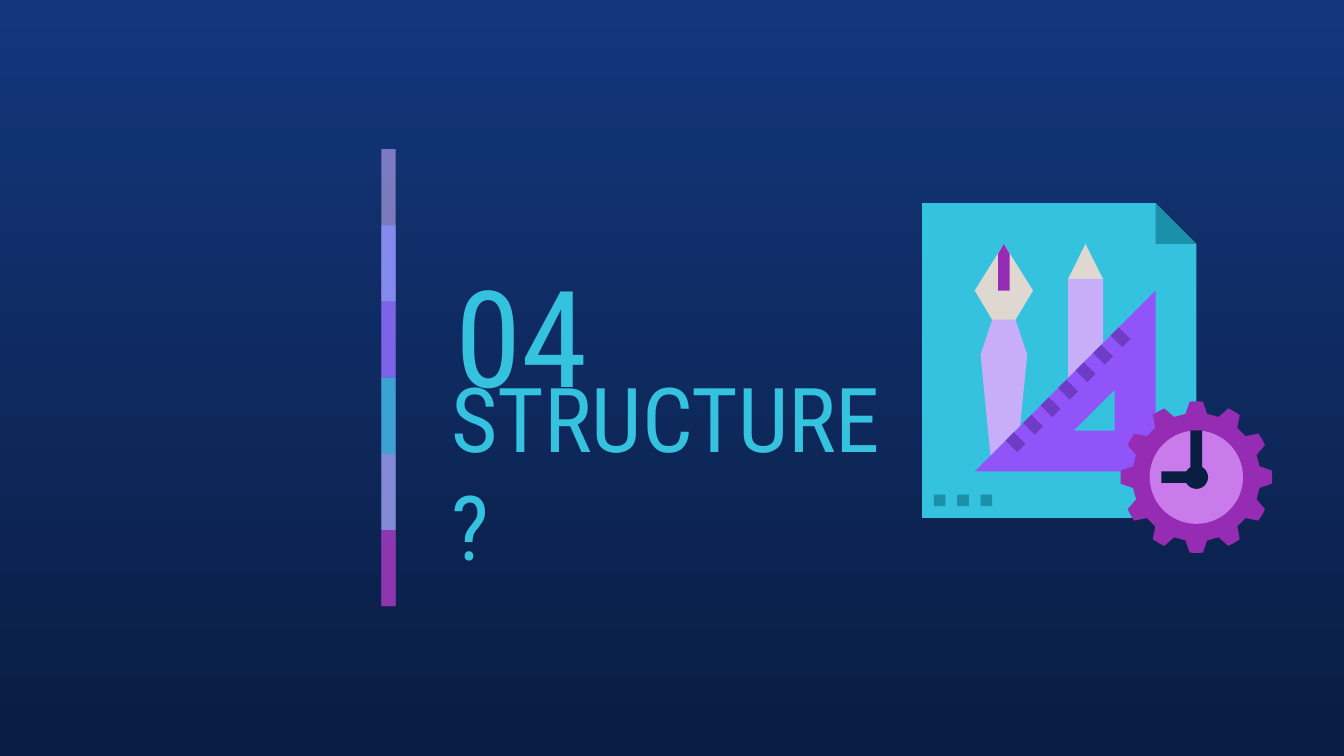
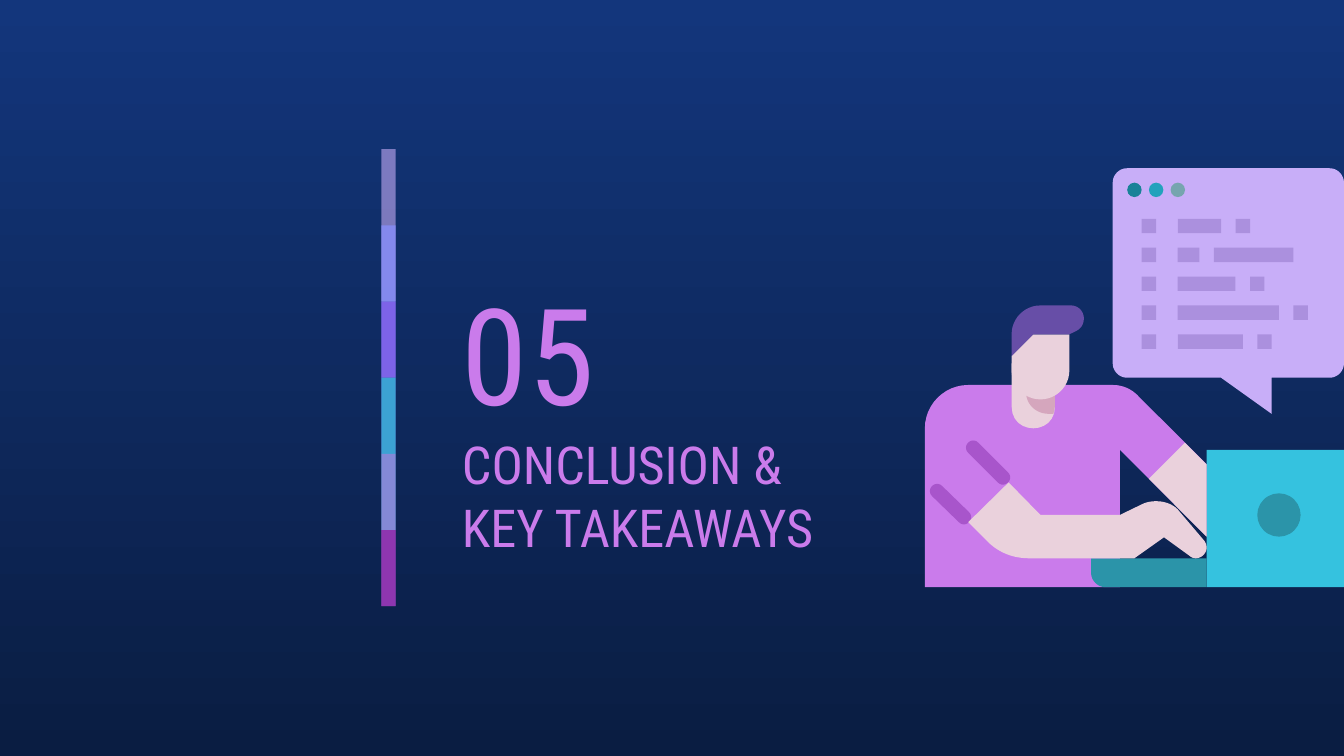
"""Build two section-opener slides with a shared colour bar and grid-drawn illustrations."""
import math

from lxml import etree
from pptx import Presentation
from pptx import util as u
from pptx.dml.color import RGBColor
from pptx.enum import shapes, text
from pptx.oxml.ns import qn

FONT = "Roboto Condensed"
NAVY_TOP = RGBColor(0x13, 0x36, 0x7C)
NAVY = RGBColor(0x0A, 0x1D, 0x42)
LILAC = RGBColor(0xC8, 0xAE, 0xF8)
PERIWINKLE = RGBColor(0x87, 0x8F, 0xFF)
VIOLET = RGBColor(0x91, 0x54, 0xF8)
CYAN = RGBColor(0x35, 0xC2, 0xDF)
ORCHID = RGBColor(0xCA, 0x7B, 0xEB)
PURPLE = RGBColor(0x97, 0x2C, 0xB4)
DEEP_VIOLET = RGBColor(0x6F, 0x3C, 0xC6)
FOLD_TEAL = RGBColor(0x1B, 0x91, 0xA9)
BONE = RGBColor(0xDE, 0xD8, 0xD0)
LAPTOP_TEAL = RGBColor(0x2B, 0x94, 0xA9)
SLEEVE = RGBColor(0xA8, 0x55, 0xCB)
SKIN = RGBColor(0xEA, 0xD1, 0xDC)
SKIN_SHADE = RGBColor(0xD5, 0xA6, 0xBD)
HAIR = RGBColor(0x67, 0x4E, 0xA7)
CODE = RGBColor(0xAB, 0x90, 0xDE)
WINDOW_DOTS = [RGBColor(0x19, 0x82, 0x98), RGBColor(0x22, 0xA2, 0xBC), RGBColor(0x76, 0xA5, 0xAF)]

OUTLINE = None
RECT = shapes.MSO_SHAPE.RECTANGLE
OVAL = shapes.MSO_SHAPE.OVAL


def paint(shape, color):
    """Give a shape a flat fill without line or shadow."""
    shape.fill.solid()
    shape.fill.fore_color.rgb = color
    shape.line.fill.background()
    shape.shadow.inherit = False


def trace(contour):
    """Turn points and cubic segments into a list of points."""
    points = []
    for step in contour:
        if len(step) == 2:
            points.append(step)
            continue
        x0, y0 = points[-1]
        x1, y1, x2, y2, x3, y3 = step
        for i in range(1, 13):
            t = i / 12
            a, b, c, d = (1 - t) ** 3, 3 * t * (1 - t) ** 2, 3 * t * t * (1 - t), t ** 3
            points.append((a * x0 + b * x1 + c * x2 + d * x3, a * y0 + b * y1 + c * y2 + d * y3))
    return points


gear = []
for tooth in range(12):
    for offset, radius in [(-9.7, 11), (-5, 13), (0, 13), (5, 13), (9.7, 11)]:
        angle = math.radians(30 * tooth + offset)
        gear.append((47 + radius * math.sin(angle), 47 - radius * math.cos(angle)))

blueprint = [
    (CYAN, OUTLINE, [[(0, 0), (0, 54), (47, 54), (47, 7), (40, 0)]]),
    (FOLD_TEAL, OUTLINE, [[(40, 0), (40, 7), (47, 7)]]),
    (BONE, OUTLINE, [[(28, 7), (25, 13), (31, 13)]]),
    (LILAC, OUTLINE, [[(25, 13), (25, 30), (31, 24), (31, 13)]]),
    (VIOLET, OUTLINE, [[(40, 15), (9, 46), (40, 46)], [(33, 32), (33, 39), (26, 39)]]),
    (PURPLE, OUTLINE, [gear]),
    (BONE, OUTLINE, [[(14, 7), (9, 15), (12, 20), (16, 20), (19, 15)]]),
    (LILAC, OUTLINE, [[(12, 20), (10, 26), (11.7, 43.3), (16.8, 38.2), (18, 26), (16, 20)]]),
    (ORCHID, OVAL, (39, 39, 16, 16)),
    (NAVY, OUTLINE, [[(46, 39), (46, 46), (41, 46), (41, 48), (48, 48), (48, 39)]]),
    (NAVY, OVAL, (45, 45, 4, 4)),
    (PURPLE, OUTLINE, [[(14, 7), (13, 8.7), (13, 15), (15, 15), (15, 8.7)]]),
]
for i in range(7):
    tick = [(15.7, 39.3), (14.3, 40.7), (16.3, 42.7), (17.7, 41.3)]
    blueprint.append((DEEP_VIOLET, OUTLINE, [[(x + 3 * i, y - 3 * i) for x, y in tick]]))
for i in range(3):
    blueprint.append((FOLD_TEAL, RECT, (2 + 4 * i, 50, 2, 2)))

developer = [
    (ORCHID, OUTLINE, [[(6, 30), (2.7, 30, 0, 32.7, 0, 36), (0, 58), (27, 58), (27, 39), (39, 51),
                        (39, 41), (29.6, 31.6), (28.6, 30.5, 27.3, 30, 26, 30)]]),
]
for x0, y0, x1, y1 in [(1.7, 44.7, 5.4, 48.3), (6.7, 38.7, 10.8, 42.8)]:
    developer.append((SLEEVE, OUTLINE, [[
        (x0 + 0.7, y0 - 0.7),
        (x0 - 0.24, y0 - 1.64, x0 - 1.64, y0 - 0.24, x0 - 0.7, y0 + 0.7),
        (x1 - 0.7, y1 + 0.7),
        (x1 + 0.24, y1 + 1.64, x1 + 1.64, y1 + 0.24, x1 + 0.7, y1 - 0.7)]]))
developer += [
    (CYAN, RECT, (39, 39, 19, 19)),
    (LAPTOP_TEAL, OUTLINE, [[(23, 54), (23, 56), (23, 57.1, 23.9, 58, 25, 58), (39, 58), (39, 54)]]),
    (SKIN, OUTLINE, [[(12, 27), (12, 33), (12, 37, 18, 37, 18, 33), (18, 27)]]),
    (SKIN_SHADE, OUTLINE, [[(14, 27), (14, 31), (14, 32.7, 15.4, 34, 17.1, 34), (17.8, 34),
                            (18, 33), (18, 27)]]),
    (SKIN, OUTLINE, [[(11.6, 43.5), (6, 49), (8.7, 51.7), (10.2, 53.2, 12.2, 54, 14.4, 54), (29, 54),
                      (33.1, 51.1), (36.7, 53.7), (36.9, 53.9, 37.2, 54, 37.5, 54),
                      (38.3, 54, 39, 53.3, 39, 52.5), (39, 52.2, 38.9, 51.9, 38.7, 51.6),
                      (35.3, 47.6), (34.6, 46.6, 33.3, 46.1, 32, 46.1),
                      (31.4, 46.1, 30.7, 46.2, 30.1, 46.5), (27, 48), (16, 48)]]),
    (SKIN, OUTLINE, [[(36, 38), (31, 43), (39, 51), (39, 41)]]),
    (LAPTOP_TEAL, OVAL, (46, 45, 6, 6)),
    (LILAC, OUTLINE, [[(28, 0), (26.9, 0, 26, 0.9, 26, 2), (26, 27), (26, 28.1, 26.9, 29, 28, 29),
                       (41, 29), (48, 34), (48, 29), (56, 29), (57.1, 29, 58, 28.1, 58, 27),
                       (58, 2), (58, 0.9, 57.1, 0, 56, 0)]]),
]
for row, (first, second) in enumerate([(6, 2), (3, 11), (8, 2), (14, 2), (9, 2)]):
    for x, width in [(30, 2), (35, first), (37 + first, second)]:
        developer.append((CODE, RECT, (x, 7 + 4 * row, width, 2)))
developer += [
    (SKIN, OUTLINE, [[(15, 23), (12, 26), (12, 28), (12, 30.2, 13.8, 32, 16, 32),
                      (18.2, 32, 20, 30.2, 20, 28), (20, 23)]]),
    (HAIR, OUTLINE, [[(16, 19), (13.8, 19, 12, 20.8, 12, 23), (12, 26), (15, 23), (20, 23), (21, 22.5),
                      (21.6, 22.2, 22, 21.6, 22, 20.8), (22, 19.8, 21.2, 19, 20.2, 19)]]),
]
for i, color in enumerate(WINDOW_DOTS):
    developer.append((color, OVAL, (28 + 3 * i, 2, 2, 2)))

sections = [
    {"number": "04", "number_at": (8.36, 4.6), "heading": "STRUCTURE?", "size": 48, "color": CYAN,
     "heading_at": (8.28, 8.05, 9.04, 1.7), "art": blueprint, "art_at": (17.43, 3.84),
     "cell": u.Cm(5.18) / 47},
    {"number": "05", "number_at": (8.48, 4.93), "heading": "CONCLUSION & KEY TAKEAWAYS", "size": 28,
     "color": ORCHID, "heading_at": (8.48, 8.51, 7.29, 1.7), "art": developer, "art_at": (17.48, 3.18),
     "cell": u.Cm(7.92) / 58},
]

prs = Presentation()
prs.slide_width, prs.slide_height = u.Cm(25.4), u.Cm(14.29)
layout = prs.slide_layouts[5]
backdrop = layout.background.fill
backdrop.gradient()
backdrop.gradient_angle = 270
for stop, color in zip(backdrop.gradient_stops, [NAVY_TOP, NAVY]):
    stop.color.rgb = color

for index, section in enumerate(sections):
    slide = prs.slides.add_slide(layout)

    if index == 0:
        bands = [(LILAC, 59), (PERIWINKLE, 74), (VIOLET, 53), (CYAN, 76), (ORCHID, 56), (PURPLE, 74)]
        for i, (color, opacity) in enumerate(bands):
            height = 1.44 if i == len(bands) - 1 else 2.88
            band = slide.shapes.add_shape(
                RECT, u.Cm(7.21), u.Cm(2.82 + 1.44 * i), u.Cm(0.27), u.Cm(height))
            paint(band, color)
            tint = band.element.xpath(".//a:srgbClr")[0]
            etree.SubElement(tint, qn("a:alpha")).set("val", str(opacity * 1000))
            layout.shapes.element.append(band.element)

    heading = slide.shapes.title
    heading.left, heading.top, heading.width, heading.height = map(u.Cm, section["heading_at"])
    left, top = map(u.Cm, section["number_at"])
    number = slide.shapes.add_textbox(left, top, u.Cm(4.45), u.Cm(3.43))
    for box, words, size in [(number, section["number"], 72),
                             (heading, section["heading"], section["size"])]:
        frame = box.text_frame
        frame.word_wrap = True
        frame.auto_size = text.MSO_AUTO_SIZE.NONE
        frame.vertical_anchor = text.MSO_ANCHOR.MIDDLE
        frame.margin_left = frame.margin_right = u.Cm(0.25)
        frame.margin_top = frame.margin_bottom = u.Cm(0.25)
        line = frame.paragraphs[0]
        line.alignment = text.PP_ALIGN.LEFT
        run = line.add_run()
        run.text = words
        run.font.name = FONT
        run.font.size = u.Pt(size)
        run.font.color.rgb = section["color"]

    cell = section["cell"]
    left, top = map(u.Cm, section["art_at"])
    for color, form, geometry in section["art"]:
        if form is OUTLINE:
            contours = [[(left + x * cell, top + y * cell) for x, y in trace(contour)]
                        for contour in geometry]
            builder = slide.shapes.build_freeform(*contours[0][0])
            builder.add_line_segments(contours[0][1:], close=True)
            for hole in contours[1:]:
                builder.move_to(*hole[0])
                builder.add_line_segments(hole[1:], close=True)
            part = builder.convert_to_shape()
        else:
            x, y, width, height = (round(value * cell) for value in geometry)
            part = slide.shapes.add_shape(form, left + x, top + y, width, height)
        paint(part, color)

prs.save("out.pptx")
